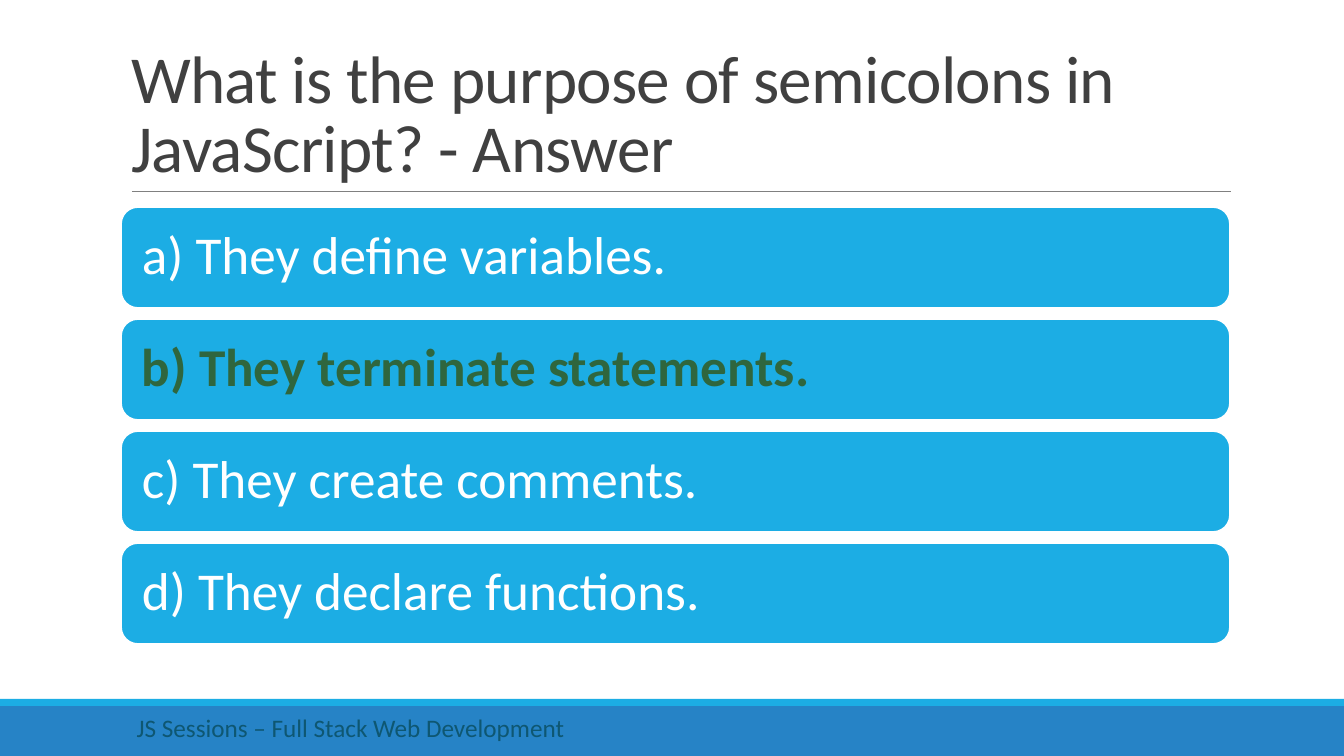
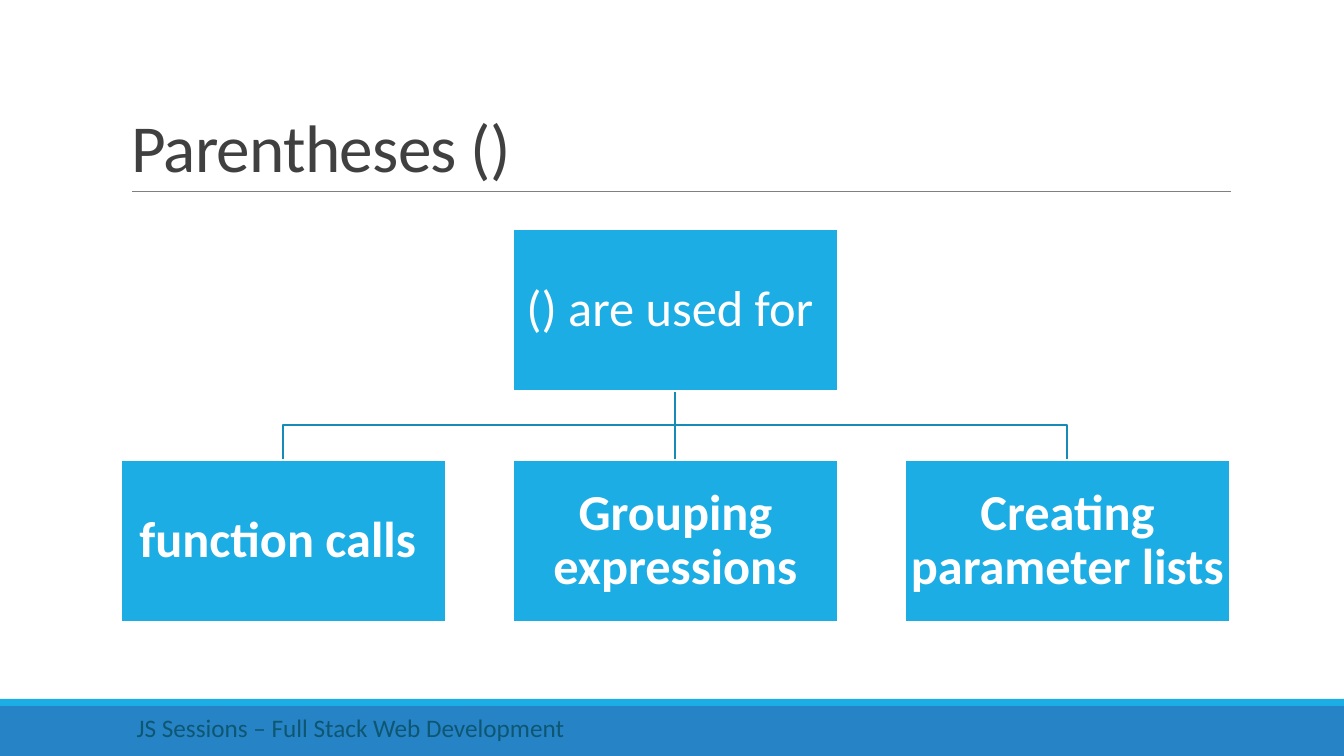
from dataclasses import dataclass

from lxml.etree import SubElement
from pptx import Presentation
from pptx.dml.color import RGBColor as Color
from pptx.enum.shapes import MSO_CONNECTOR as Connector, MSO_SHAPE as Preset
from pptx.enum.text import MSO_ANCHOR as Anchor, MSO_AUTO_SIZE as AutoSize, PP_ALIGN as Align
from pptx.oxml.ns import qn
from pptx.util import Pt

EMU_PER_PIXEL = 914400 / 100.8
PAGE_WIDTH, PAGE_HEIGHT = 1344, 756
LEFT, CONTENT_WIDTH = 121, 1109


@dataclass(frozen=True)
class Theme:
    """Colours, font and type sizes of the deck."""
    font: str = "Calibri"
    accent: str = "1CADE4"
    band: str = "2683C6"
    white: str = "FFFFFF"
    title: str = "404040"
    rule: str = "808080"
    branch: str = "168BB7"
    correct: str = "2F663E"
    footer: str = "0E5772"
    title_size: int = 48
    answer_size: int = 38
    node_size: int = 36
    footer_size: int = 18
    outline: float = 1.25
    hairline: float = 0.5


def emu(*pixels):
    """Turn pixel lengths into a list of EMU values."""
    return [round(value * EMU_PER_PIXEL) for value in pixels]


def apply(target, values):
    """Set every attribute in a dict of format values."""
    for name, value in values.items():
        setattr(target, name, value)


class Painter:
    """Holds the theme and the current page, and draws elements on it."""

    def __init__(self, deck, theme):
        """Keep the deck and its theme."""
        self.deck, self.theme, self.page = deck, theme, None

    def start_page(self, title):
        """Add a page with the shared bands, rule, title and footer."""
        theme = self.theme
        self.page = self.deck.slides.add_slide(self.deck.slide_layouts[5])
        self.box((0, 706, PAGE_WIDTH, 50), theme.band)
        self.box((0, 699, PAGE_WIDTH, 7), theme.accent)
        self.line((132, 191), (1231, 191), theme.rule, theme.hairline)
        self.title(title)
        self.footer(" JS Sessions – Full Stack Web Development")

    def label(self, shape, text, size, color, bold=False, align=Align.LEFT,
              anchor=Anchor.MIDDLE, spacing=0.9, inset=None):
        """Put one formatted paragraph into a shape and return its span."""
        frame = shape.text_frame
        apply(frame, {"word_wrap": True, "auto_size": AutoSize.NONE,
                      "vertical_anchor": anchor})
        if inset is not None:
            margin, = emu(inset)
            sides = ("left", "top", "right", "bottom")
            apply(frame, {f"margin_{side}": margin for side in sides})
        para = frame.paragraphs[0]
        apply(para, {"alignment": align, "line_spacing": spacing})
        span = para.add_run()
        span.text = text
        apply(span.font, {"name": self.theme.font, "size": Pt(size), "bold": bold})
        span.font.color.rgb = Color.from_string(color)
        return span

    def title(self, text):
        """Place and format the title placeholder."""
        holder = self.page.shapes.title
        place = emu(LEFT, 31, CONTENT_WIDTH, 160)
        apply(holder, dict(zip(("left", "top", "width", "height"), place)))
        span = self.label(holder, text, self.theme.title_size, self.theme.title,
                          anchor=Anchor.BOTTOM, spacing=0.85)
        span._r.get_or_add_rPr().set("spc", "-50")

    def footer(self, text):
        """Put the footer over the lower band."""
        holder = self.page.shapes.add_textbox(*emu(LEFT, 707, 784, 40))
        self.label(holder, text, self.theme.footer_size, self.theme.footer,
                   anchor=Anchor.TOP, spacing=1.0)

    def box(self, place, fill, preset=Preset.RECTANGLE, outlined=False):
        """Draw a filled preset shape, with a white outline on request."""
        shape = self.page.shapes.add_shape(preset, *emu(*place))
        shape.shadow.inherit = False
        shape.fill.solid()
        shape.fill.fore_color.rgb = Color.from_string(fill)
        if outlined:
            self.stroke(shape, self.theme.white, self.theme.outline)
        else:
            shape.line.fill.background()
        return shape

    def stroke(self, shape, color, width):
        """Set the colour and width of a line."""
        shape.line.color.rgb = Color.from_string(color)
        shape.line.width = Pt(width)

    def line(self, start, end, color, width):
        """Draw a straight line without a shadow."""
        connector = self.page.shapes.add_connector(
            Connector.STRAIGHT, *emu(*start, *end))
        self.stroke(connector, color, width)
        SubElement(connector._element.spPr, qn("a:effectLst"))

    def branch(self, start, end):
        """Link a parent to a child, bending halfway down when needed."""
        theme = self.theme
        if start[0] == end[0]:
            self.line(start, end, theme.branch, theme.outline)
            return
        middle = (start[1] + end[1]) // 2
        builder = self.page.shapes.build_freeform(*start, scale=EMU_PER_PIXEL)
        builder.add_line_segments(
            [(start[0], middle), (end[0], middle), end], close=False)
        elbow = builder.convert_to_shape()
        elbow.shadow.inherit = False
        elbow.fill.background()
        self.stroke(elbow, theme.branch, theme.outline)

    def answer(self, top, text, correct):
        """Draw one answer card, marked when it is correct."""
        theme = self.theme
        card = self.box((LEFT, top, CONTENT_WIDTH, 101), theme.accent,
                        Preset.ROUNDED_RECTANGLE, outlined=True)
        self.label(card, text, theme.answer_size,
                   theme.correct if correct else theme.white, correct, inset=16)

    def node(self, place, text, bold):
        """Draw one box of the tree."""
        theme = self.theme
        shape = self.box(place, theme.accent, outlined=True)
        self.label(shape, text, theme.node_size, theme.white, bold,
                   Align.CENTER, inset=3)


def answer_page(painter):
    """Build the quiz answer page."""
    painter.start_page("What is the purpose of semicolons in JavaScript? - Answer")
    answers = ("a) They define variables.", "b) They terminate statements.",
               "c) They create comments.", "d) They declare functions.")
    for index, text in enumerate(answers):
        painter.answer(207 + 112 * index, text, correct=index == 1)


def parentheses_page(painter):
    """Build the tree of uses of parentheses."""
    painter.start_page("Parentheses ()")
    uses = ("function calls ", "Grouping expressions", "Creating parameter lists")
    width, height, root_top, use_top = 325, 162, 229, 460
    step = (CONTENT_WIDTH - width) // (len(uses) - 1)
    lefts = [LEFT + step * index for index in range(len(uses))]
    root_left = lefts[1]
    half = width // 2
    for left in reversed(lefts):
        painter.branch((root_left + half, root_top + height), (left + half, use_top))
    painter.node((root_left, root_top, width, height), "() are used for ", bold=False)
    for left, text in zip(lefts, uses):
        painter.node((left, use_top, width, height), text, bold=True)


def main():
    """Build and save the deck."""
    deck = Presentation()
    deck.slide_width, deck.slide_height = emu(PAGE_WIDTH, PAGE_HEIGHT)
    painter = Painter(deck, Theme())
    answer_page(painter)
    parentheses_page(painter)
    deck.save("out.pptx")


main()
